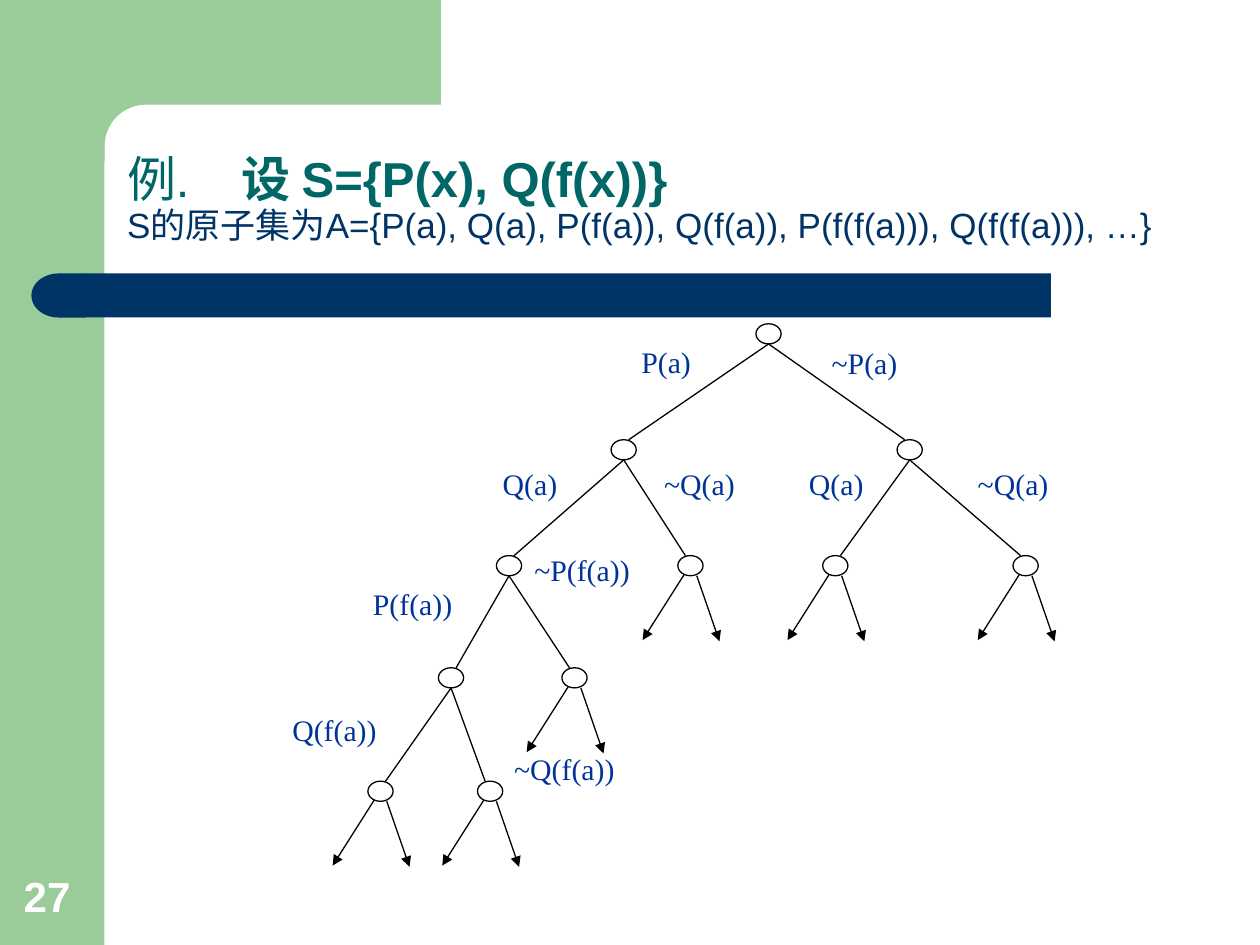
from dataclasses import dataclass
from math import cos, pi, sin

from lxml import etree
from pptx import Presentation
from pptx import util as u
from pptx.dml.color import RGBColor
from pptx.enum import shapes as sh, text as tx
from pptx.oxml.ns import qn


@dataclass(frozen=True)
class Theme:
    green: str = "99CC99"
    navy: str = "003366"
    teal: str = "006666"
    blue: str = "003399"
    white: str = "FFFFFF"
    black: str = "000000"
    sans: str = "Arial"
    serif: str = "Times New Roman"
    head: float = 28
    sub: float = 20
    label: float = 17
    page: float = 24
    line: float = 0.75


T = Theme()
KIND = sh.MSO_SHAPE

# The slide is a grid of 100 columns by 75 rows of square cells.
COLS, ROWS = 100, 75
CELL = u.Inches(0.1)

# Tree: top row of each level, size of a node, inward shift of an edge's end.
LEVELS = (25.7, 34.9, 44.1, 53, 62)
NODE_W, NODE_H = 2, 1.6
SHIFT = 0.4

# Each node is its centre column, level and parent's index.
NODES = (
    (61, 0, None),
    (49.5, 1, 0), (72.2, 1, 0),
    (40.4, 2, 1), (54.8, 2, 1), (66.3, 2, 2), (81.4, 2, 2),
    (35.8, 3, 3), (45.6, 3, 3),
    (30.2, 4, 7), (38.9, 4, 7),
)

# Each label is its column, row, width and wording.
LABELS = (
    (50.9, 27.6, 4.7, "P(a)"), (66, 27.7, 7.1, "~P(a)"),
    (39.9, 37.3, 4.7, "Q(a)"), (52.7, 37.3, 7.1, "~Q(a)"),
    (64.2, 37.3, 4.7, "Q(a)"), (77.6, 37.3, 7.1, "~Q(a)"),
    (29.6, 46.8, 8, "P(f(a))"), (42.4, 44.1, 9.8, "~P(f(a))"),
    (23.2, 56.8, 8, "Q(f(a))"), (40.8, 59.9, 9.8, "~Q(f(a))"),
)
LABEL_H = 3


def grid(*nums):
    return [round(n * CELL) for n in nums]


def rgb(code):
    return RGBColor.from_string(code)


def paint(shape, fill, line=None):
    shape.shadow.inherit = False
    shape.fill.solid()
    shape.fill.fore_color.rgb = rgb(fill)
    if line:
        shape.line.color.rgb = rgb(line)
        shape.line.width = u.Pt(T.line)
    else:
        shape.line.fill.background()
    return shape


def block(page, kind, box, fill, line=None):
    return paint(page.shapes.add_shape(kind, *grid(*box)), fill, line)


def corner(page):
    """Draw the green top band, with a rounded notch at its inner corner."""
    rad, left, top = 3.3, 8.3, 8.3
    turns = [pi / 2 * i / 12 for i in range(13)]
    arc = [(left + rad * (1 - sin(t)), top + rad * (1 - cos(t))) for t in turns]
    pts = [(35, 0), (35, top), *arc, (left, 12.8), (5, 12.8), (5, 0)]
    pen = page.shapes.build_freeform(*grid(*pts[0]), scale=1.0)
    pen.add_line_segments([grid(*p) for p in pts[1:]], close=True)
    paint(pen.convert_to_shape(), T.green)


def line(page, start, end, arrow=False):
    link = page.shapes.add_connector(
        sh.MSO_CONNECTOR.STRAIGHT, *grid(*start, *end))
    link.line.color.rgb = rgb(T.black)
    link.line.width = u.Pt(T.line)
    if arrow:
        tail = etree.SubElement(link.line._get_or_add_ln(), qn("a:tailEnd"))
        tail.set("type", "triangle")
    etree.SubElement(link._element.spPr, qn("a:effectLst"))


def write(para, words, *, size, color, font=T.sans, bold=False):
    run = para.add_run()
    run.text = words
    run.font.name = font
    run.font.size = u.Pt(size)
    run.font.bold = bold
    run.font.color.rgb = rgb(color)


def frame(shape, anchor, inset=None):
    """Set up a shape's text frame and return its first paragraph."""
    body = shape.text_frame
    body.word_wrap = True
    body.vertical_anchor = anchor
    if inset is not None:
        body.margin_left = body.margin_right = inset
        body.margin_top = body.margin_bottom = inset
    para = body.paragraphs[0]
    para.alignment = tx.PP_ALIGN.LEFT
    return para


def stop(para, col):
    """Add a left tab stop to a paragraph."""
    tabs = etree.SubElement(para._p.get_or_add_pPr(), qn("a:tabLst"))
    etree.SubElement(tabs, qn("a:tab"), pos=str(grid(col)[0]), algn="l")


def title(page):
    box = page.shapes.add_textbox(*grid(9.1, 9.1, 85.1, 10.9))
    para = frame(box, tx.MSO_ANCHOR.BOTTOM)
    stop(para, 9.1)
    para.line_spacing = 0.9
    write(para, "例.\t", size=T.head, color=T.teal)
    write(para, "设 S={P(x), Q(f(x))}", size=T.head, color=T.teal, bold=True)
    para.add_line_break()
    write(para, "S的原子集为A={P(a), Q(a), P(f(a)), Q(f(a)), "
          "P(f(f(a))), Q(f(f(a))), …}", size=T.sub, color=T.navy)


def number(page):
    box = page.shapes.add_textbox(*grid(0.9, 68.3, 6.4, 5.3))
    para = frame(box, tx.MSO_ANCHOR.BOTTOM)
    write(para, "27", size=T.page, color=T.white, bold=True)


def label(page, col, row, wide, words):
    box = block(page, KIND.RECTANGLE, (col, row, wide, LABEL_H),
                T.white, T.white)
    para = frame(box, tx.MSO_ANCHOR.TOP, 0)
    para.line_spacing = 0.9
    write(para, words, size=T.label, color=T.blue, font=T.serif)


def fork(page, col, row):
    """Draw the two arrows that lead on from an open node."""
    for side, drop, run in ((-0.5, 1.5, -3.3), (0.5, 1.6, 1.8)):
        x, y = col + side, row + drop
        line(page, (x, y), (x + run, y + 5.2), arrow=True)


def tree(page):
    inner = {up for _, _, up in NODES}
    for i, (col, rank, up) in enumerate(NODES):
        if i not in inner:
            fork(page, col, LEVELS[rank])
        if up is not None:
            root, high, _ = NODES[up]
            end = col + (SHIFT if col < root else -SHIFT)
            line(page, (root, LEVELS[high] + NODE_H), (end, LEVELS[rank]))
    for col, rank, _ in NODES:
        block(page, KIND.OVAL, (col - NODE_W / 2, LEVELS[rank], NODE_W, NODE_H),
              T.white, T.black)
    for item in LABELS:
        label(page, *item)


def decor(page):
    block(page, KIND.RECTANGLE, (0, 0, 8.3, ROWS), T.green)
    corner(page)
    block(page, KIND.RECTANGLE, (6.7, 21.7, 76.7, 3.5), T.navy)
    cap = block(page, KIND.FLOWCHART_DELAY, (2.5, 21.7, 4.3, 3.5), T.navy)
    cap._element.spPr.xfrm.set("flipH", "1")


def main():
    deck = Presentation()
    deck.slide_width, deck.slide_height = grid(COLS, ROWS)
    page = deck.slides.add_slide(deck.slide_layouts[6])
    decor(page)
    number(page)
    title(page)
    tree(page)
    deck.save("out.pptx")


if __name__ == "__main__":
    main()
